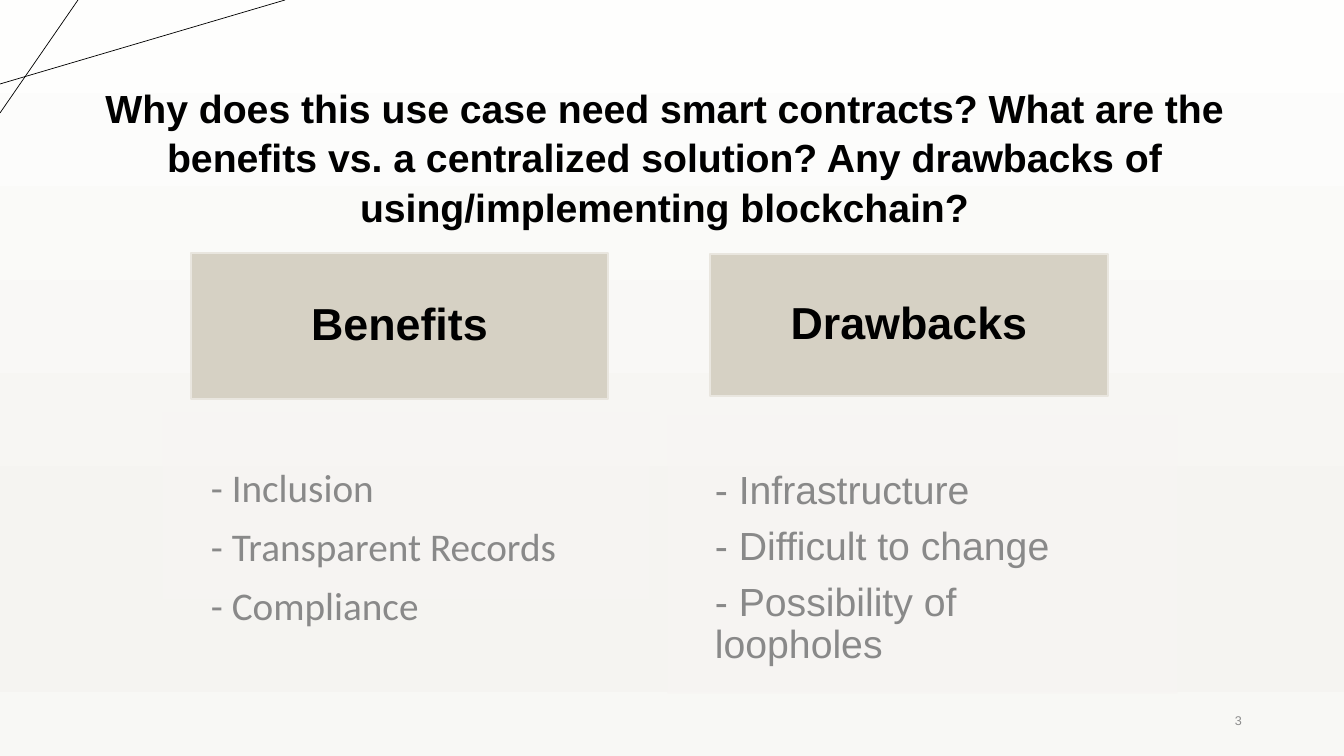
import pptx
import pptx.util
import pptx.dml.color
import pptx.enum.shapes
import pptx.enum.text
import pptx.oxml
import pptx.oxml.ns

HUE = {"ink": "000000", "head": "D6D1C4", "edge": "E9E6DF",
       "pale": "F7F5F3", "gray": "898989", "page": "8C8C8C"}
FADE = [(0, "FEFEFD"), (74, "F5F4F1"), (83, "F5F4F1"), (100, "F8F8F5")]
RAYS = [(0, 84, 285, 0), (78, 0, 0, 113)]
TITLE = ("Why does this use case need smart contracts? What are the benefits "
         "vs. a centralized solution? Any drawbacks of using/implementing blockchain?")
COLS = [
    {"name": "Benefits", "head": (191, 253, 417, 146), "body": (163, 413, 486, 186),
     "font": "Calibri", "inset": 48, "gaps": (1.05, 1.05, 1.05), "after": 7,
     "items": ["- Inclusion", "- Transparent Records", "- Compliance"]},
    {"name": "Drawbacks", "head": (710, 254, 398, 142), "body": (668, 416, 509, 277),
     "font": "Arial", "inset": 47, "gaps": (1.05, 0.9, 0.9), "after": 10,
     "items": ["- Infrastructure", "- Difficult to change", "- Possibility of loopholes"]},
]

ALIGN = pptx.enum.text.PP_ALIGN
ANCHOR = pptx.enum.text.MSO_ANCHOR
SHAPE = pptx.enum.shapes.MSO_SHAPE
NS = pptx.oxml.ns.nsdecls("a")
qn = pptx.oxml.ns.qn


def px(n):
    return round(n * 914400 / 100.8)


def rgb(key):
    return pptx.dml.color.RGBColor.from_string(HUE[key])


def put(item, vals):
    for key, val in vals.items():
        setattr(item, key, val)


def write(shape, lines, size, hue, font="Arial", bold=False, align=ALIGN.LEFT,
          anchor=ANCHOR.TOP, inset=(10, 5), gaps=(1,), after=0):
    frame = shape.text_frame
    wide, tall = map(px, inset)
    put(frame, {"word_wrap": True, "auto_size": pptx.enum.text.MSO_AUTO_SIZE.NONE,
                "vertical_anchor": anchor, "margin_left": wide, "margin_right": wide,
                "margin_top": tall, "margin_bottom": tall})
    frame.text = "\n".join(lines)
    for para, gap in zip(frame.paragraphs, gaps):
        put(para, {"alignment": align, "line_spacing": gap,
                   "space_before": pptx.util.Pt(0), "space_after": pptx.util.Pt(after)})
        put(para.runs[0].font, {"name": font, "size": pptx.util.Pt(size), "bold": bold})
        para.runs[0].font.color.rgb = rgb(hue)


def panel(box, fill, edge, alpha=100):
    shape = slide.shapes.add_shape(SHAPE.RECTANGLE, *map(px, box))
    shape.shadow.inherit = False
    shape.fill.solid()
    shape.fill.fore_color.rgb = rgb(fill)
    shape.line.color.rgb = rgb(edge)
    shape.line.width = pptx.util.Pt(1)
    if alpha < 100:
        for tint in shape._element.spPr.iter(qn("a:srgbClr")):
            tint.append(pptx.oxml.parse_xml(f'<a:alpha {NS} val="{alpha * 1000}"/>'))
    return shape


deck = pptx.Presentation()
put(deck, {"slide_width": px(1344), "slide_height": px(756)})
slide = deck.slides.add_slide(deck.slide_layouts[5])

back = slide.background.fill
back.gradient()
back.gradient_angle = 270
stops = slide.background._cSld.find(".//" + qn("a:gsLst"))
for stop in list(stops):
    stops.remove(stop)
for pos, tone in FADE:
    stops.append(pptx.oxml.parse_xml(
        f'<a:gs {NS} pos="{pos * 1000}"><a:srgbClr val="{tone}"/></a:gs>'))

for ray in RAYS:
    line = slide.shapes.add_connector(
        pptx.enum.shapes.MSO_CONNECTOR.STRAIGHT, *map(px, ray))
    line.line.color.rgb = rgb("ink")
    line.line.width = pptx.util.Pt(0.5)
    line._element.spPr.append(pptx.oxml.parse_xml(f"<a:effectLst {NS}/>"))

title = slide.shapes.title
put(title, dict(zip(("left", "top", "width", "height"), map(px, (95, 77, 1139, 152)))))
write(title, [TITLE], 28, "ink", bold=True, align=ALIGN.CENTER, gaps=(1.05,))

for col in COLS:
    write(panel(col["head"], "head", "edge"), [col["name"]], 32, "ink", bold=True,
          align=ALIGN.CENTER, anchor=ANCHOR.MIDDLE, inset=(38, 38), gaps=(0.9,), after=11)
    write(panel(col["body"], "pale", "pale", 90), col["items"], 28, "gray", col["font"],
          inset=(col["inset"],) * 2, gaps=col["gaps"], after=col["after"])

page = slide.shapes.add_textbox(*map(px, (950, 701, 302, 40)))
write(page, ["3"], 9, "page", align=ALIGN.RIGHT, anchor=ANCHOR.MIDDLE)

deck.save("out.pptx")
